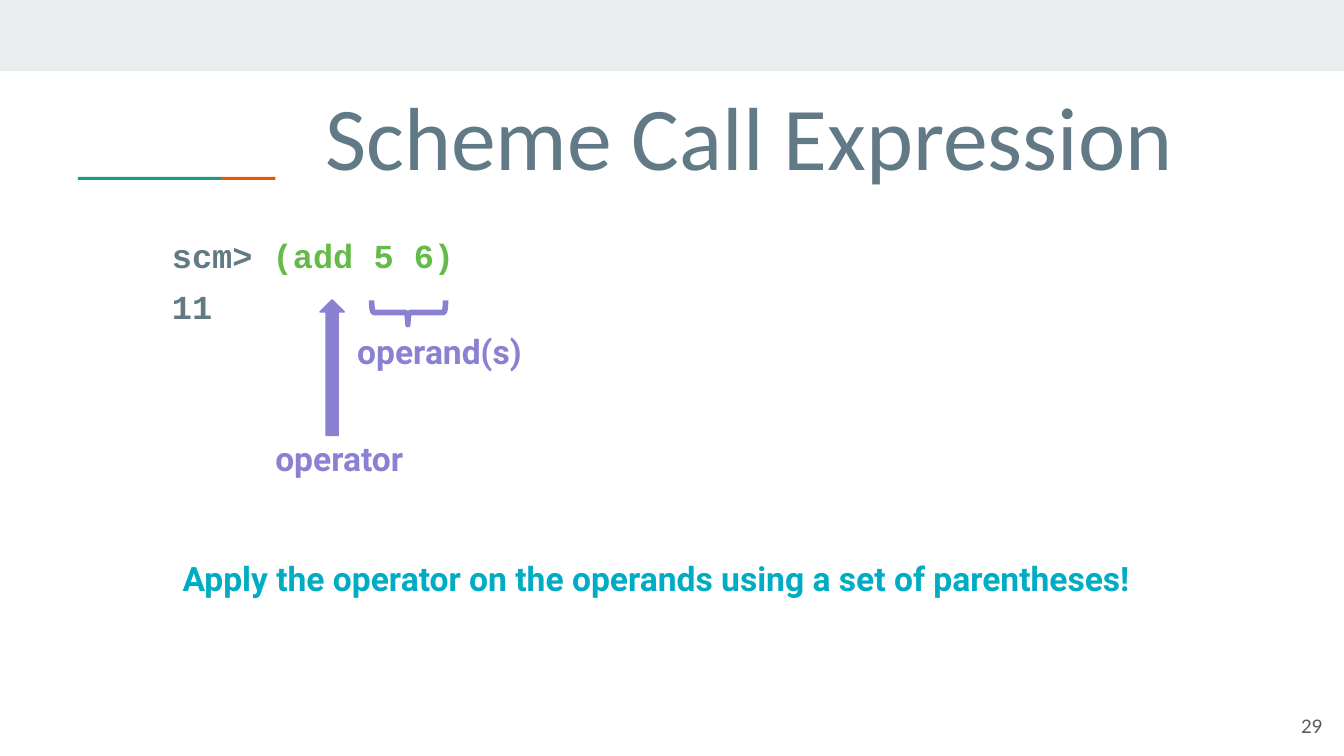
from pptx import Presentation
from pptx.dml.color import RGBColor
from pptx.enum.shapes import MSO_SHAPE
from pptx.enum.text import MSO_ANCHOR, PP_ALIGN
from pptx.util import Pt

RECT, ARROW, BRACE = MSO_SHAPE.RECTANGLE, MSO_SHAPE.UP_ARROW, MSO_SHAPE.LEFT_BRACE
TOP, MIDDLE = MSO_ANCHOR.TOP, MSO_ANCHOR.MIDDLE
LEFT, RIGHT = PP_ALIGN.LEFT, PP_ALIGN.RIGHT

COLORS = {
    "band": "E9EDEE", "slate": "617A86", "orange": "EB5600", "teal": "1A9988",
    "green": "65BB48", "purple": "8B81D2", "cyan": "00ACC3", "gray": "595959",
}


def rgb(name):
    return RGBColor.from_string(COLORS[name])


class Deck:
    def __init__(self, width, height):
        self.prs = Presentation()
        self.prs.slide_width, self.prs.slide_height = Pt(width), Pt(height)
        self.slide = self.prs.slides.add_slide(self.prs.slide_layouts[5])

    def shape(self, kind, box, fill=None, line=None, width=0.75, turn=0, adjust=()):
        shape = self.slide.shapes.add_shape(kind, *map(Pt, box))
        shape.shadow.inherit = False
        shape.rotation = turn
        for i, value in enumerate(adjust):
            shape.adjustments[i] = value
        if fill:
            shape.fill.solid()
            shape.fill.fore_color.rgb = rgb(fill)
        else:
            shape.fill.background()
        if line:
            shape.line.color.rgb = rgb(line)
            shape.line.width = Pt(width)
        else:
            shape.line.fill.background()

    def frame(self, shape, anchor=TOP):
        """Give the text frame of a shape the common insets and wrapping."""
        frame = shape.text_frame
        frame.word_wrap = True
        frame.vertical_anchor = anchor
        frame.margin_left = frame.margin_right = Pt(7.2)
        frame.margin_top = frame.margin_bottom = Pt(7.2)
        return frame

    def style(self, para, font, size, bold, color=None, align=LEFT):
        para.alignment = align
        para.font.name, para.font.size, para.font.bold = font, Pt(size), bold
        if color:
            para.font.color.rgb = rgb(color)

    def title(self, text, box):
        title = self.slide.shapes.title
        title.left, title.top, title.width, title.height = map(Pt, box)
        frame = self.frame(title)
        frame.text = text
        self.style(frame.paragraphs[0], "Calibri", 48, False, "slate")

    def text(self, text, box, color, font="Roboto", size=18, bold=True,
             align=LEFT, anchor=TOP):
        frame = self.frame(self.slide.shapes.add_textbox(*map(Pt, box)), anchor)
        frame.text = text
        self.style(frame.paragraphs[0], font, size, bold, color, align)

    def code(self, lines, box):
        """Add a code box; each line is a list of (text, color) runs."""
        frame = self.frame(self.slide.shapes.add_textbox(*map(Pt, box)))
        for i, line in enumerate(lines):
            para = frame.add_paragraph() if i else frame.paragraphs[0]
            para.space_before = Pt(6 if i else 0)
            self.style(para, "Courier New", 18, True)
            for text, color in line:
                run = para.add_run()
                run.text = text
                run.font.color.rgb = rgb(color)


def main():
    deck = Deck(720, 405)
    deck.shape(RECT, (0, 0, 720, 38.2), "band")
    deck.shape(RECT, (118.4, 94.8, 29.2, 1.6), "orange")
    deck.shape(RECT, (41.8, 94.8, 76.6, 1.6), "teal")
    deck.title("Scheme Call Expression", (167, 36, 531.4, 50.4))
    deck.text("29", (672.5, 373.7, 43.2, 31), "gray", "Lato", 10, False, RIGHT, MIDDLE)

    deck.code([[("scm> ", "slate"), ("(add 5 6)", "green")], [("11", "slate")]],
              (85, 118.5, 531.4, 219.6))
    deck.shape(ARROW, (171.4, 160.6, 13, 72.7), "purple", "purple", adjust=(0.5, 0.5))
    deck.shape(BRACE, (212.4, 147.6, 13, 39.6), line="purple", width=3,
               turn=270, adjust=(0.08, 0.49))
    deck.text("operator", (140.4, 227.5, 90.7, 31), "purple")
    deck.text("operand(s)", (184.3, 169.9, 103, 31), "purple")
    deck.text("Apply the operator on the operands using a set of parentheses!",
              (90.7, 291.6, 569.5, 50.4), "cyan")
    deck.prs.save("out.pptx")


if __name__ == "__main__":
    main()
